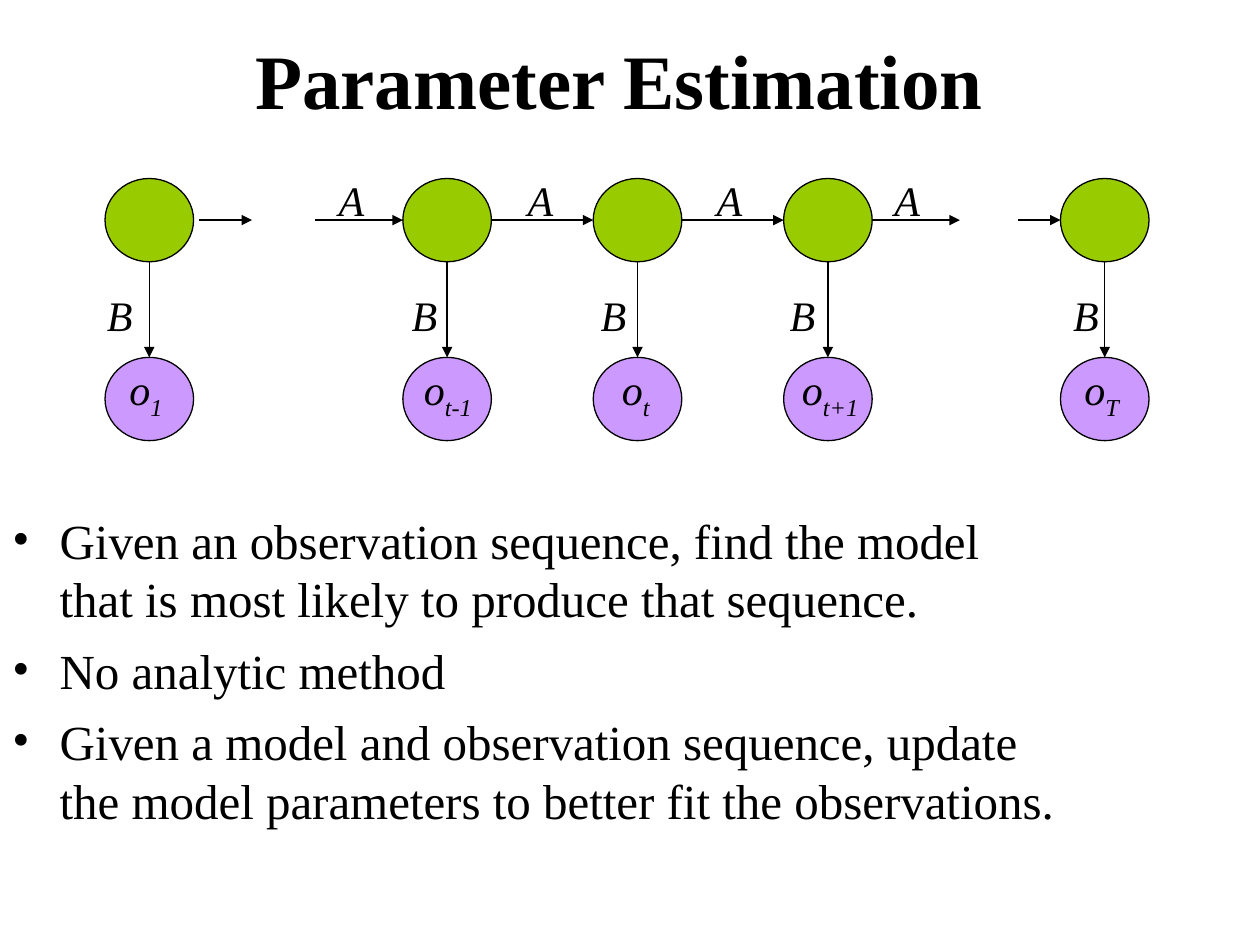
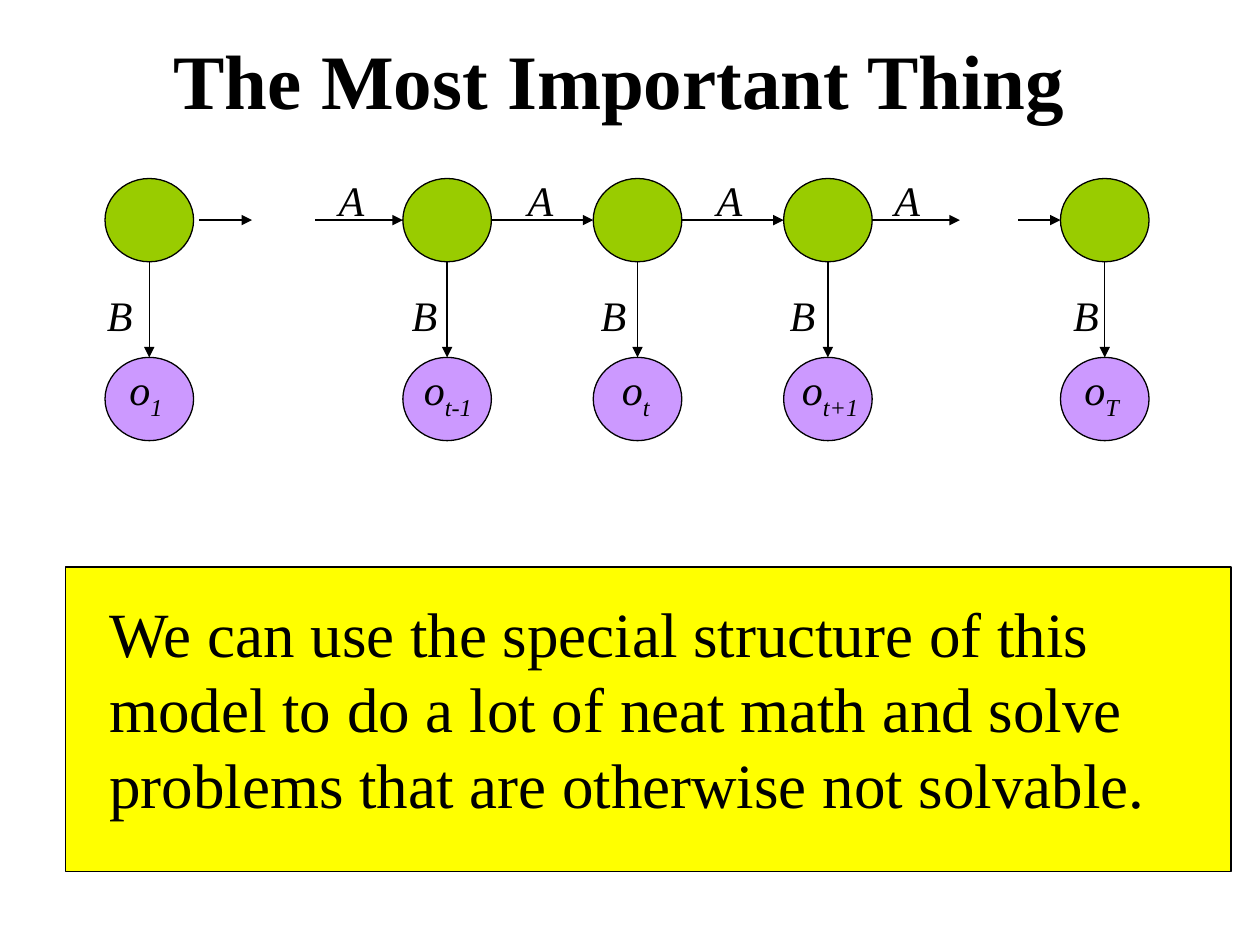
from dataclasses import dataclass

from lxml import etree
from pptx import Presentation
from pptx.dml.color import RGBColor
from pptx.enum import shapes, text
from pptx.oxml import ns
from pptx.util import Pt


@dataclass(frozen=True)
class Theme:
    font: str = "Times New Roman"
    ink: str = "000000"
    state: str = "99CC00"
    observation: str = "CC99FF"
    callout: str = "FFFF00"
    line: float = 0.75
    title: int = 44
    statement: int = 36
    bullet: int = 28
    label: int = 24


THEME = Theme()
NODE_WIDTH, NODE_HEIGHT = 50.6, 47.6
STATE_TOP, OBSERVATION_TOP = 102, 204.2
STATE_MIDDLE = STATE_TOP + NODE_HEIGHT / 2
MIDDLE_LEFT, NODE_STEP, LABEL_STEP = 230.2, 108.8, 108
FIRST_LEFT, LAST_LEFT = 60, 606
MIDDLE_LEFTS = [MIDDLE_LEFT + NODE_STEP * index for index in range(3)]
NODE_LEFTS = [FIRST_LEFT, *MIDDLE_LEFTS, LAST_LEFT]

SUBSCRIPTS = [("1", 66.8, 36), ("t-1", 235.2, 44), ("t", 348.3, 33),
              ("t+1", 451.2, 50), ("T", 612.5, 38)]
TRANSITION_LEFTS = [186.5 + LABEL_STEP * index for index in range(3)] + [504]
EMISSION_LEFTS = [54, *(228.2 + LABEL_STEP * index for index in range(3)), 606.2]

BULLETS = [
    "Given an observation sequence, find the model that is most likely to produce that sequence.",
    "No analytic method",
    "Given a model and observation sequence, update the model parameters to better fit the observations.",
]
STATEMENT = ("We can use the special structure of this model to do a lot of neat math "
             "and solve problems that are otherwise not solvable.")


def apply_format(target, values):
    for name, value in values.items():
        setattr(target, name, value)


def add_child(parent, tag, **attributes):
    return etree.SubElement(parent, ns.qn(tag), attributes)


def style_line(line):
    line.color.rgb = RGBColor.from_string(THEME.ink)
    line.width = Pt(THEME.line)


def add_span(para, words, size, **values):
    span = para.add_run()
    span.text = words
    apply_format(span.font, {"name": THEME.font, "size": Pt(size), **values})
    span.font.color.rgb = RGBColor.from_string(THEME.ink)
    return span


def add_text_box(page, left, top, width, height, **values):
    box = page.shapes.add_textbox(Pt(left), Pt(top), Pt(width), Pt(height))
    apply_format(box.text_frame, {"word_wrap": True, **values})
    return box.text_frame


def add_filled_shape(page, kind, left, top, width, height, color):
    shape = page.shapes.add_shape(kind, Pt(left), Pt(top), Pt(width), Pt(height))
    shape.shadow.inherit = False
    shape.fill.solid()
    shape.fill.fore_color.rgb = RGBColor.from_string(color)
    style_line(shape.line)


def add_node(page, left, top, color):
    add_filled_shape(page, shapes.MSO_SHAPE.OVAL, left, top, NODE_WIDTH, NODE_HEIGHT, color)


def add_arrow(page, start_x, start_y, end_x, end_y):
    arrow = page.shapes.add_connector(
        shapes.MSO_CONNECTOR.STRAIGHT, Pt(start_x), Pt(start_y), Pt(end_x), Pt(end_y))
    style_line(arrow.line)
    add_child(arrow.line._get_or_add_ln(), "a:tailEnd", type="triangle")
    add_child(arrow._element.spPr, "a:effectLst")


def add_label(page, letter, left, top, width=28.8, height=36, subscript=""):
    frame = add_text_box(page, left, top, width, height, word_wrap=False,
                         auto_size=text.MSO_AUTO_SIZE.NONE)
    para = frame.paragraphs[0]
    add_span(para, letter, THEME.label, italic=True)
    if subscript:
        span = add_span(para, subscript, THEME.label, italic=True)
        span._r.get_or_add_rPr().set("baseline", "-25000")


def add_title(page, words):
    frame = add_text_box(page, 48, 0, 612, 90, vertical_anchor=text.MSO_ANCHOR.MIDDLE)
    para = frame.paragraphs[0]
    para.alignment = text.PP_ALIGN.CENTER
    add_span(para, words, THEME.title, bold=True)


def add_bullets(page, lines):
    frame = add_text_box(page, 0, 288, 612, 252)
    for index, words in enumerate(lines):
        para = frame.add_paragraph() if index else frame.paragraphs[0]
        para.space_before = Pt(7)
        add_span(para, words, THEME.bullet)
        properties = para._p.get_or_add_pPr()
        properties.set("marL", str(Pt(27)))
        properties.set("indent", str(Pt(-27)))
        add_child(properties, "a:buFont", typeface=THEME.font)
        add_child(properties, "a:buChar", char="•")


def add_statement(page, words):
    frame = add_text_box(page, 55.5, 336, 648, 136.8)
    add_span(frame.paragraphs[0], words, THEME.statement)


def add_markov_chain(page):
    for left in NODE_LEFTS:
        center = left + NODE_WIDTH / 2
        add_node(page, left, STATE_TOP, THEME.state)
        add_node(page, left, OBSERVATION_TOP, THEME.observation)
        add_arrow(page, center, STATE_TOP + NODE_HEIGHT, center, OBSERVATION_TOP)

    first, second, third = MIDDLE_LEFTS
    transitions = [(114, 144), (180, first), (first + NODE_WIDTH, second),
                   (second + NODE_WIDTH, third), (third + NODE_WIDTH, 548.5),
                   (582, LAST_LEFT)]
    for start, end in transitions:
        add_arrow(page, start, STATE_MIDDLE, end, STATE_MIDDLE)

    for subscript, left, width in SUBSCRIPTS:
        add_label(page, "o", left, OBSERVATION_TOP, width, 40.3, subscript)
    for left in TRANSITION_LEFTS:
        add_label(page, "A", left, 96)
    for left in EMISSION_LEFTS:
        add_label(page, "B", left, 162)


def add_page(deck, title):
    page = deck.slides.add_slide(deck.slide_layouts[6])
    add_title(page, title)
    add_markov_chain(page)
    return page


def main():
    deck = Presentation()
    apply_format(deck, {"slide_width": Pt(720), "slide_height": Pt(540)})

    estimation = add_page(deck, "Parameter Estimation")
    add_bullets(estimation, BULLETS)

    structure = add_page(deck, "The Most Important Thing")
    add_filled_shape(structure, shapes.MSO_SHAPE.RECTANGLE, 37.5, 324, 666, 174, THEME.callout)
    add_statement(structure, STATEMENT)

    deck.save("out.pptx")


if __name__ == "__main__":
    main()
